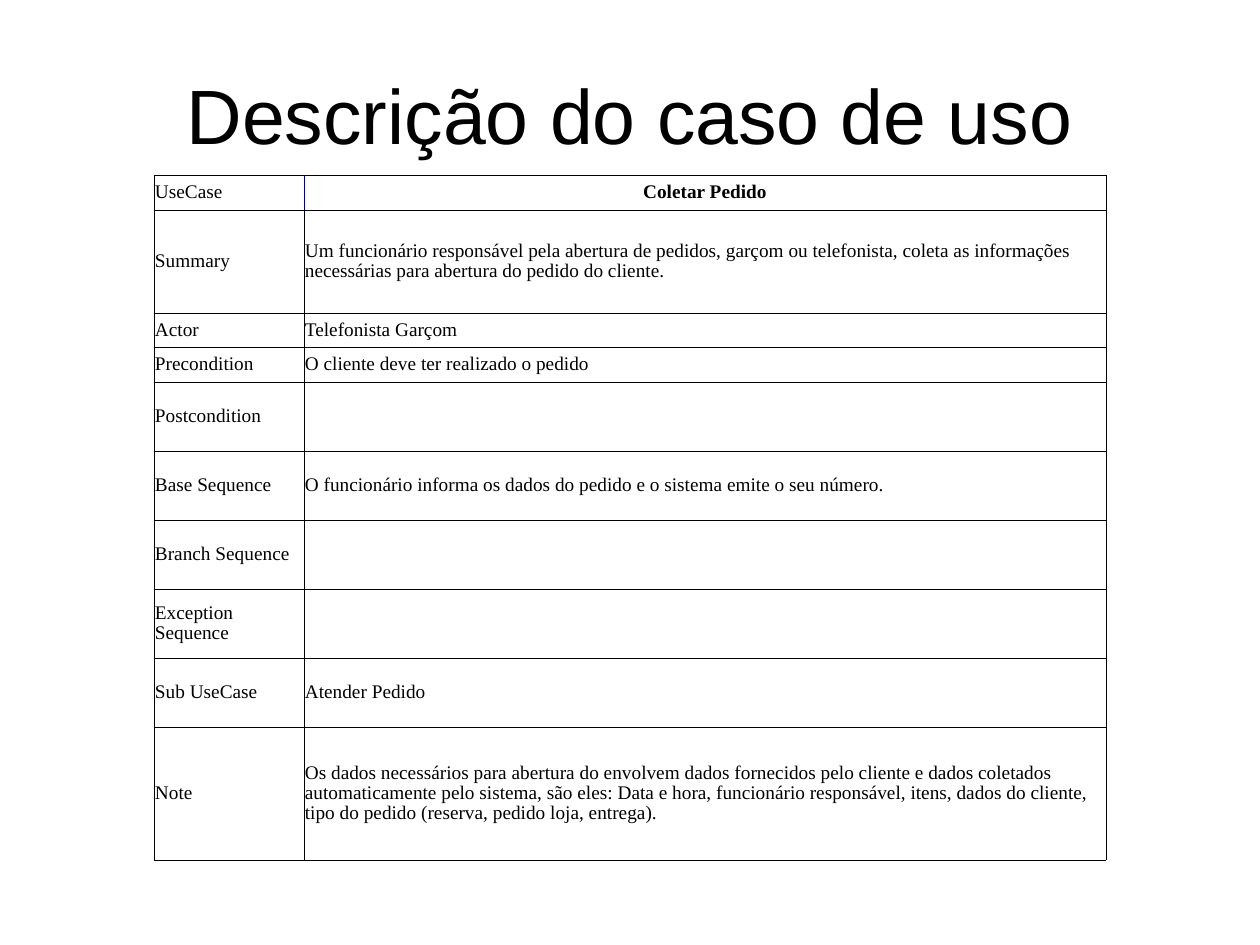
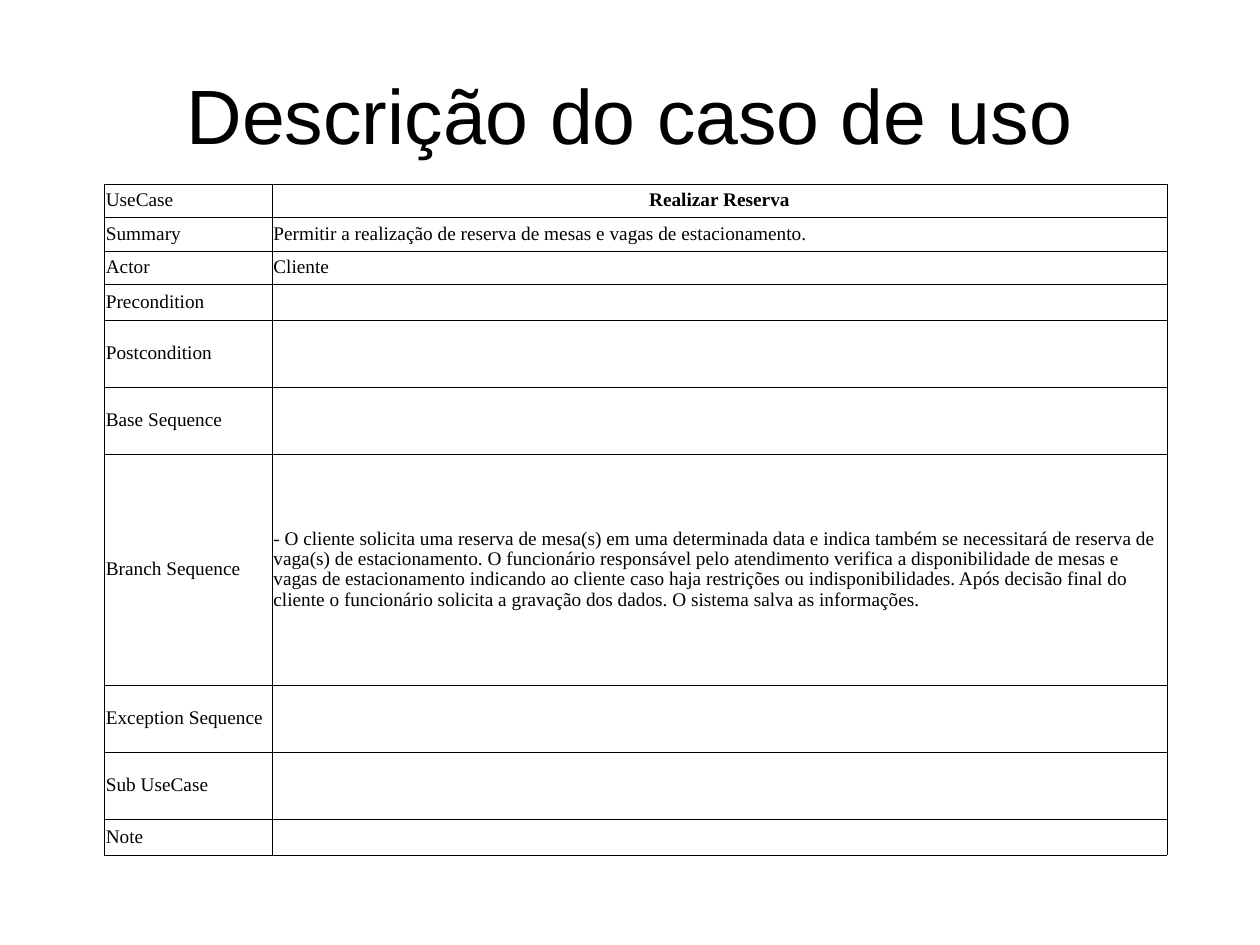
import pptx
import pptx.dml.color
import pptx.enum.text
import pptx.oxml
import pptx.oxml.ns
import pptx.util

Inches = pptx.util.Inches
Pt = pptx.util.Pt
PP_ALIGN = pptx.enum.text.PP_ALIGN
MIDDLE = pptx.enum.text.MSO_ANCHOR.MIDDLE

BLACK = pptx.dml.color.RGBColor(0x00, 0x00, 0x00)
NAVY = pptx.dml.color.RGBColor(0x00, 0x00, 0x80)
TITLE_FONT = "Arial"
TABLE_FONT = "Times New Roman"
TABLE_SIZE = 11
BORDER_WIDTH = Pt(0.11)

TITLE = "Descrição do caso de uso"
FIELDS = ["UseCase", "Summary", "Actor", "Precondition", "Postcondition",
          "Base Sequence", "Branch Sequence", "Exception Sequence",
          "Sub UseCase", "Note"]

COLLECT_ORDER = {
    "UseCase": "Coletar Pedido",
    "Summary": "Um funcionário responsável pela abertura de pedidos, garçom ou "
               "telefonista, coleta as informações necessárias para abertura do "
               "pedido do cliente.",
    "Actor": "Telefonista Garçom",
    "Precondition": "O cliente deve ter realizado o pedido",
    "Base Sequence": "O funcionário informa os dados do pedido e o sistema emite "
                     "o seu número.",
    "Sub UseCase": "Atender Pedido",
    "Note": "Os dados necessários para abertura do envolvem dados fornecidos pelo "
            "cliente e dados coletados automaticamente pelo sistema, são eles: Data "
            "e hora, funcionário responsável, itens, dados do cliente, tipo do "
            "pedido (reserva, pedido loja, entrega).",
}

MAKE_RESERVATION = {
    "UseCase": "Realizar Reserva",
    "Summary": "Permitir a realização de reserva de mesas e vagas de estacionamento.",
    "Actor": "Cliente",
    "Branch Sequence": "- O cliente solicita uma reserva de mesa(s) em uma "
                       "determinada data e indica também se necessitará de reserva "
                       "de vaga(s) de estacionamento. O funcionário responsável pelo "
                       "atendimento verifica a disponibilidade de mesas e vagas de "
                       "estacionamento indicando ao cliente caso haja restrições ou "
                       "indisponibilidades. Após decisão final do cliente o "
                       "funcionário solicita a gravação dos dados. O sistema salva "
                       "as informações.",
}


def write_text(text_frame, text, font=TABLE_FONT, size=TABLE_SIZE, bold=False,
               align=PP_ALIGN.LEFT, line_spacing=None):
    paragraph = text_frame.paragraphs[0]
    paragraph.alignment = align
    paragraph.line_spacing = line_spacing
    if not text:
        # An empty cell keeps the small text size, so that its row stays low
        end = pptx.oxml.parse_xml(
            f'<a:endParaRPr {pptx.oxml.ns.nsdecls("a")} sz="{size * 100}"/>')
        paragraph._p.append(end)
        return
    run = paragraph.add_run()
    run.text = text
    run.font.name = font
    run.font.size = Pt(size)
    run.font.bold = bold
    run.font.color.rgb = BLACK


def add_title(slide, text):
    title = slide.shapes.title
    title.left, title.top = Inches(0.5), Inches(0.28)
    title.width, title.height = Inches(9), Inches(1.25)
    title.text_frame.vertical_anchor = MIDDLE
    title.text_frame.word_wrap = True
    write_text(title.text_frame, text, font=TITLE_FONT, size=44,
               align=PP_ALIGN.CENTER)


def set_borders(cell, **side_colors):
    properties = cell._tc.get_or_add_tcPr()
    for side in "LRTB":
        color = side_colors.get(side, BLACK)
        properties.append(pptx.oxml.parse_xml(
            f'<a:ln{side} {pptx.oxml.ns.nsdecls("a")} w="{BORDER_WIDTH}">'
            f'<a:solidFill><a:srgbClr val="{color}"/></a:solidFill></a:ln{side}>'))


def format_cell(cell, text, **text_format):
    cell.margin_left = cell.margin_right = Inches(0.01)
    cell.margin_top = cell.margin_bottom = Inches(0.05)
    cell.vertical_anchor = MIDDLE
    cell.fill.background()
    write_text(cell.text_frame, text, line_spacing=0.95, **text_format)


def add_use_case_table(slide, values, left, top, widths, height, tall_row,
                       row_units, divider=BLACK):
    """Rows share the height by units; tall_row is (field, height)."""
    tall_field, tall_height = tall_row
    unit = (height - tall_height) / sum(row_units.values())
    table = slide.shapes.add_table(
        len(FIELDS), 2, Inches(left), Inches(top),
        Inches(sum(widths)), Inches(height)).table
    table.first_row = table.horz_banding = False
    for column, width in zip(table.columns, widths):
        column.width = Inches(width)

    for index, field in enumerate(FIELDS):
        is_tall = field == tall_field
        table.rows[index].height = Inches(
            tall_height if is_tall else unit * row_units[field])
        is_header = index == 0
        edge = divider if is_header else BLACK
        label_cell, value_cell = table.cell(index, 0), table.cell(index, 1)
        set_borders(label_cell, R=edge)
        set_borders(value_cell, L=edge)
        format_cell(label_cell, field)
        format_cell(value_cell, values.get(field, ""), bold=is_header,
                    align=PP_ALIGN.CENTER if is_header else PP_ALIGN.LEFT)


def units(single_fields, **others):
    """Every field takes two units, except the ones listed."""
    result = {field: 1 if field in single_fields else 2 for field in FIELDS}
    result.update(others)
    return result


def add_use_case_slide(presentation, values, **table_format):
    slide = presentation.slides.add_slide(presentation.slide_layouts[5])
    add_title(slide, TITLE)
    add_use_case_table(slide, values, **table_format)


def main():
    presentation = pptx.Presentation()
    presentation.slide_width, presentation.slide_height = Inches(10), Inches(7.5)

    # Collecting an order
    add_use_case_slide(
        presentation, COLLECT_ORDER, left=1.22, top=1.39, widths=(1.19, 6.37),
        height=5.44, tall_row=("Note", 1.06), divider=NAVY,
        row_units=units(("UseCase", "Actor", "Precondition"), Summary=3, Note=0))

    # Making a reservation
    reservation_units = units(("UseCase", "Summary", "Actor", "Precondition", "Note"))
    reservation_units["Branch Sequence"] = 0
    add_use_case_slide(
        presentation, MAKE_RESERVATION, left=0.83, top=1.46, widths=(1.33, 7.1),
        height=5.28, tall_row=("Branch Sequence", 1.84),
        row_units=reservation_units)

    presentation.save("out.pptx")


if __name__ == "__main__":
    main()
